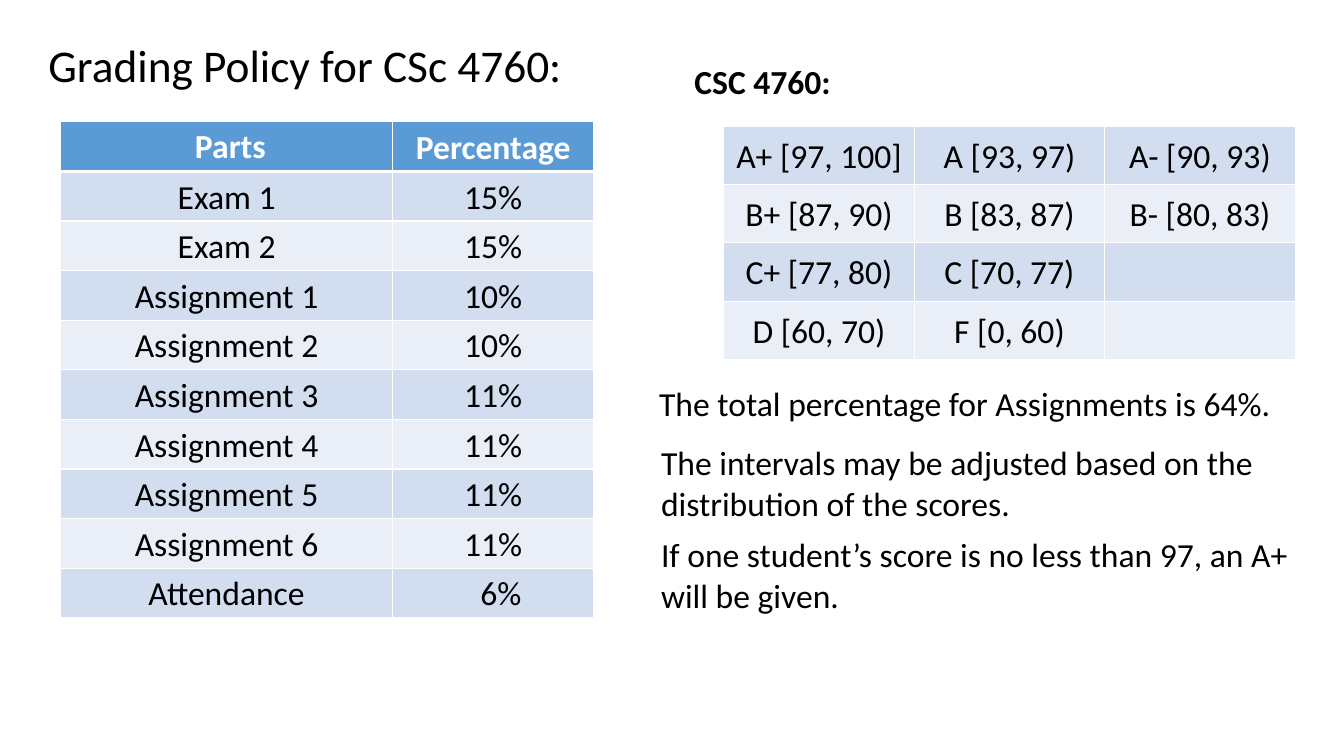
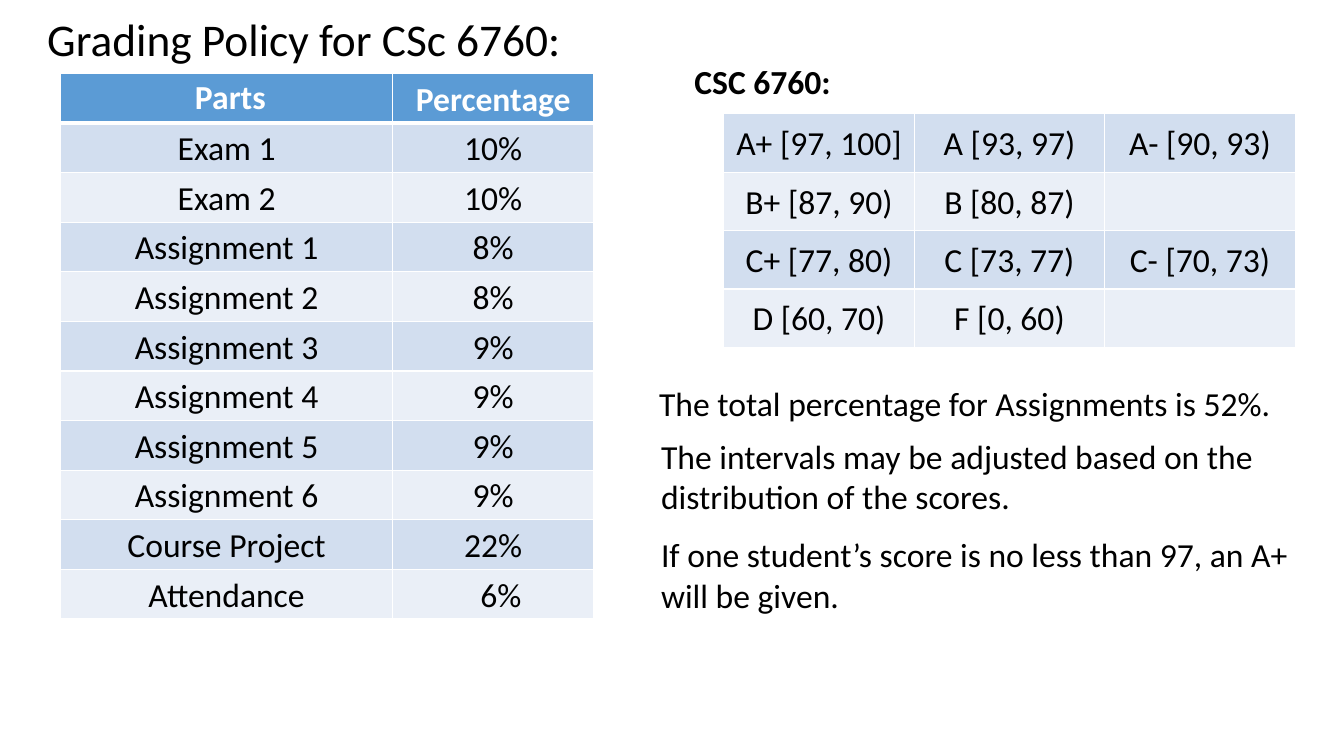
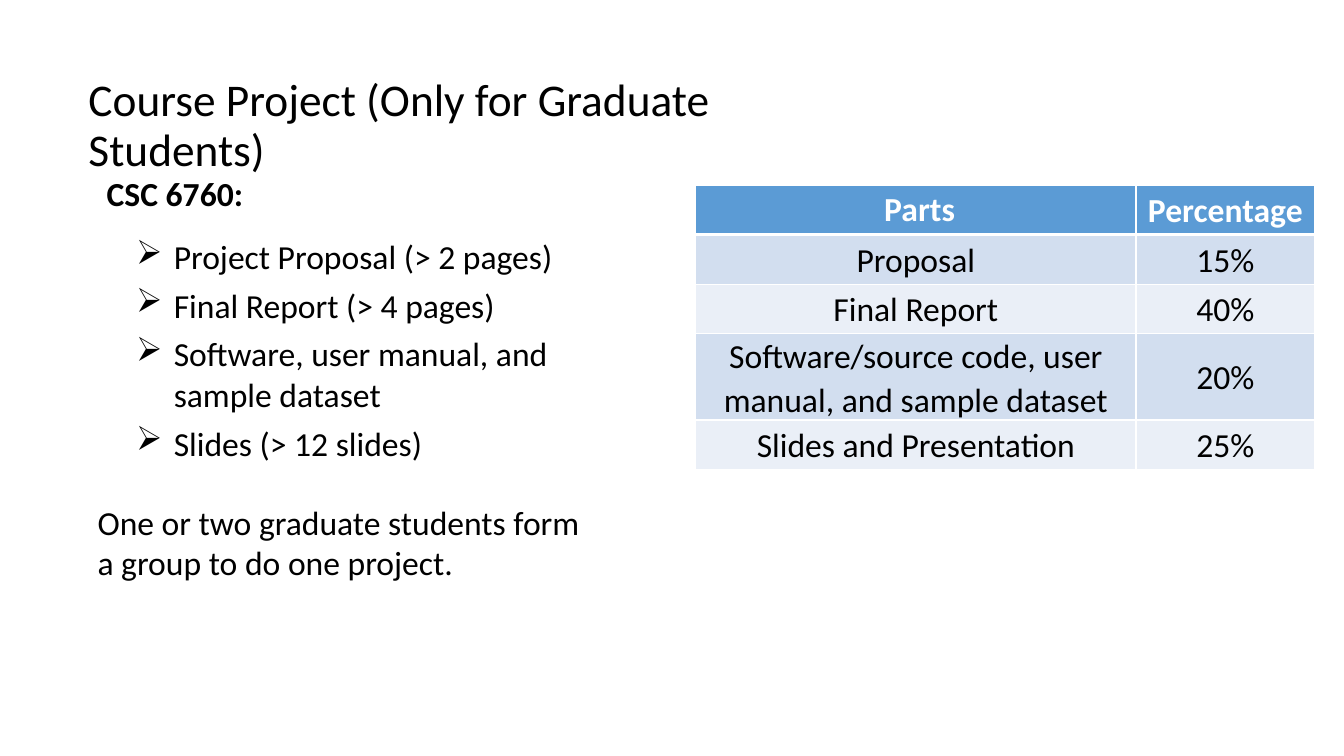
import pptx
import pptx.dml.color
import pptx.enum.text
import pptx.oxml.ns
import pptx.util
from lxml import etree

Cm, Pt = pptx.util.Cm, pptx.util.Pt
ALIGN, ANCHOR, FIT = (pptx.enum.text.PP_ALIGN, pptx.enum.text.MSO_ANCHOR,
                      pptx.enum.text.MSO_AUTO_SIZE)

FONT, TITLE_SIZE, BODY_SIZE = "Calibri", 32.4, 24
BLACK, WHITE, HEADER = "000000", "FFFFFF", "5B9BD5"
BANDS = ["D2DEEF", "EAEFF7"]
ROW_HEIGHT, GRADE_ROW_HEIGHT = 1.25, 1.47
CELL_MARGIN = 0.18
CELL_INDENTS = {"Parts": 0.19, "6%": 0.38}
PARTS_HEADER = ("Parts", "Percentage")

INTERVALS_NOTE = "The intervals may be adjusted based on the distribution of the scores."
A_PLUS_NOTE = "If one student’s score is no less than 97, an A+ will be given."

POLICIES = [
    {
        "course": "4760",
        "title_at": (0.97, 0.97, 13.67, 1.7),
        "parts_top": 3.07,
        "parts": [("Exam 1", "15%"), ("Exam 2", "15%"),
                  ("Assignment 1", "10%"), ("Assignment 2", "10%"),
                  ("Assignment 3", "11%"), ("Assignment 4", "11%"),
                  ("Assignment 5", "11%"), ("Assignment 6", "11%"),
                  ("Attendance", "6%")],
        "grades_top": 3.18,
        "grades": [("A+ [97, 100]", "A [93, 97)", "A- [90, 93)"),
                   ("B+ [87, 90)", "B [83, 87)", "B- [80, 83)"),
                   ("C+ [77, 80)", "C [70, 77)", ""),
                   ("D [60, 70)", "F [0, 60)", "")],
        "assignments_total": "64%",
        "intervals_top": 11.02,
    },
    {
        "course": "6760",
        "title_at": (0.94, 0.3, 13.67, 1.52),
        "parts_top": 1.85,
        "parts": [("Exam 1", "10%"), ("Exam 2", "10%"),
                  ("Assignment 1", "8%"), ("Assignment 2", "8%"),
                  ("Assignment 3", "9%"), ("Assignment 4", "9%"),
                  ("Assignment 5", "9%"), ("Assignment 6", "9%"),
                  ("Course Project", "22%"), ("Attendance", "6%")],
        "grades_top": 2.87,
        "grades": [("A+ [97, 100]", "A [93, 97)", "A- [90, 93)"),
                   ("B+ [87, 90)", "B [80, 87)", ""),
                   ("C+ [77, 80)", "C [73, 77)", "C- [70, 73)"),
                   ("D [60, 70)", "F [0, 60)", "")],
        "assignments_total": "52%",
        "intervals_top": 10.85,
    },
]

PROJECT_TITLE = "Course Project (Only for Graduate Students)"
DELIVERABLES = ["Project Proposal (> 2 pages)", "Final Report (> 4 pages)",
                "Software, user manual, and sample dataset", "Slides (> 12 slides)"]
GROUP_NOTE = "One or two graduate students form a group to do one project."
PROJECT_PARTS = [("Proposal", "15%"), ("Final Report", "40%"),
                 ("Software/source code, user manual, and sample dataset", "20%"),
                 ("Slides and Presentation", "25%")]
PROJECT_ROW_HEIGHTS = [ROW_HEIGHT] * 3 + [2.17, ROW_HEIGHT]


def color(value):
    return pptx.dml.color.RGBColor.from_string(value)


def add_run(paragraph, text, size=BODY_SIZE, ink=BLACK, bold=False):
    run = paragraph.add_run()
    run.text = text
    run.font.name = FONT
    run.font.size = Pt(size)
    run.font.bold = bold
    run.font.color.rgb = color(ink)


def add_titled_slide(deck, text, at):
    slide = deck.slides.add_slide(deck.slide_layouts[5])
    title = slide.shapes.title
    title.left, title.top, title.width, title.height = map(Cm, at)
    frame = title.text_frame
    frame.auto_size = FIT.NONE
    frame.word_wrap = True
    frame.vertical_anchor = ANCHOR.TOP
    frame.margin_left = frame.margin_right = Cm(0.25)
    frame.margin_top, frame.margin_bottom = Cm(0.13), 0
    paragraph = frame.paragraphs[0]
    paragraph.alignment = ALIGN.LEFT
    paragraph.line_spacing = 0.9
    add_run(paragraph, text, TITLE_SIZE)
    return slide


def add_bullet(paragraph):
    properties = paragraph._p.get_or_add_pPr()
    properties.set("marL", str(Cm(0.95)))
    properties.set("indent", str(-Cm(0.95)))
    bullet = etree.SubElement(properties, pptx.oxml.ns.qn("a:buChar"))
    bullet.set("char", "➢")


def add_text(slide, at, lines, bold=False, bulleted=False, after=0):
    frame = slide.shapes.add_textbox(*map(Cm, at)).text_frame
    frame.word_wrap = True
    frame.auto_size = FIT.SHAPE_TO_FIT_TEXT
    for index, line in enumerate(lines):
        paragraph = frame.add_paragraph() if index else frame.paragraphs[0]
        paragraph.space_after = Pt(after)
        if bulleted:
            add_bullet(paragraph)
        add_run(paragraph, line, bold=bold)


def add_borders(cell, bottom):
    properties = cell._tc.get_or_add_tcPr()
    for side, width in (("L", 1), ("R", 1), ("T", 1), ("B", bottom)):
        line = etree.SubElement(properties, pptx.oxml.ns.qn("a:ln" + side), w=str(Pt(width)))
        fill = etree.SubElement(line, pptx.oxml.ns.qn("a:solidFill"))
        etree.SubElement(fill, pptx.oxml.ns.qn("a:srgbClr"), val=WHITE)


def fill_cell(cell, text, fill, is_header):
    cell.vertical_anchor = ANCHOR.MIDDLE
    cell.margin_left = Cm(CELL_MARGIN + CELL_INDENTS.get(text, 0))
    cell.margin_right = Cm(CELL_MARGIN)
    cell.margin_top = cell.margin_bottom = 0
    add_borders(cell, 3 if is_header else 1)
    cell.fill.solid()
    cell.fill.fore_color.rgb = color(fill)
    if not text:
        return
    paragraph = cell.text_frame.paragraphs[0]
    paragraph.alignment = ALIGN.CENTER
    if text != "Parts":
        paragraph.line_spacing = 1.07
        paragraph.space_before = paragraph.space_after = Pt(3)
    add_run(paragraph, text, ink=WHITE if is_header else BLACK, bold=is_header)


def add_grid(slide, left, top, widths, heights, rows, header=None):
    lines = ([header] if header else []) + rows
    fills = ([HEADER] if header else []) + [BANDS[i % 2] for i in range(len(rows))]
    grid = slide.shapes.add_table(len(lines), len(widths), Cm(left), Cm(top),
                                  Cm(sum(widths)), Cm(sum(heights))).table
    grid.first_row = header is not None
    for column, width in zip(grid.columns, widths):
        column.width = Cm(width)
    for number, (row, height) in enumerate(zip(grid.rows, heights)):
        row.height = Cm(height)
        for cell, text in zip(row.cells, lines[number]):
            fill_cell(cell, text, fills[number], header is not None and number == 0)


def add_policy(deck, policy):
    course = policy["course"]
    slide = add_titled_slide(deck, f"Grading Policy for CSc {course}:", policy["title_at"])
    add_grid(slide, 1.53, policy["parts_top"], [8.36, 5.08],
             [ROW_HEIGHT] * (len(policy["parts"]) + 1), policy["parts"], PARTS_HEADER)
    add_grid(slide, 18.24, policy["grades_top"], [4.8] * 3,
             [GRADE_ROW_HEIGHT] * len(policy["grades"]), policy["grades"])
    add_text(slide, (17.25, 1.4, 4.09, 1.28), [f"CSC {course}:"], bold=True)
    add_text(slide, (16.36, 9.53, 17.2, 1.28),
             [f"The total percentage for Assignments is {policy['assignments_total']}."])
    add_text(slide, (16.41, policy["intervals_top"], 17.2, 2.31), [INTERVALS_NOTE])
    add_text(slide, (16.41, 13.34, 16.71, 2.31), [A_PLUS_NOTE])


def add_project(deck):
    slide = add_titled_slide(deck, PROJECT_TITLE, (1.98, 1.83, 20.65, 1.7))
    add_text(slide, (2.44, 4.22, 4.39, 1.28), ["CSC 6760:"], bold=True)
    add_text(slide, (3.18, 5.82, 12.95, 6.02), DELIVERABLES, bulleted=True, after=6)
    add_text(slide, (2.21, 12.52, 12.95, 2.31), [GROUP_NOTE], after=6)
    add_grid(slide, 17.53, 4.66, [11.1, 4.5], PROJECT_ROW_HEIGHTS, PROJECT_PARTS, PARTS_HEADER)


def main():
    deck = pptx.Presentation()
    deck.slide_width, deck.slide_height = Cm(33.87), Cm(19.05)
    for policy in POLICIES:
        add_policy(deck, policy)
    add_project(deck)
    deck.save("out.pptx")


if __name__ == "__main__":
    main()
